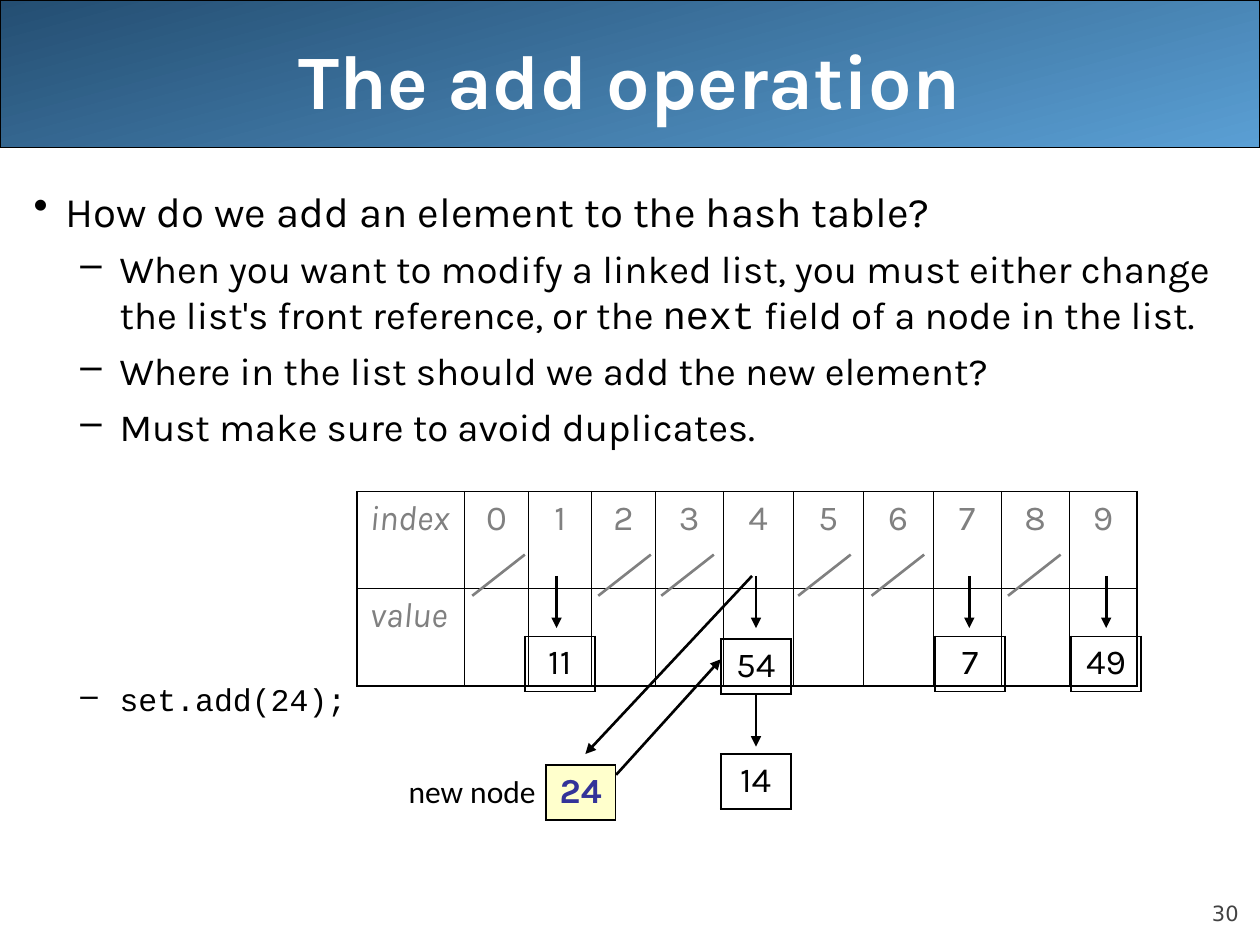
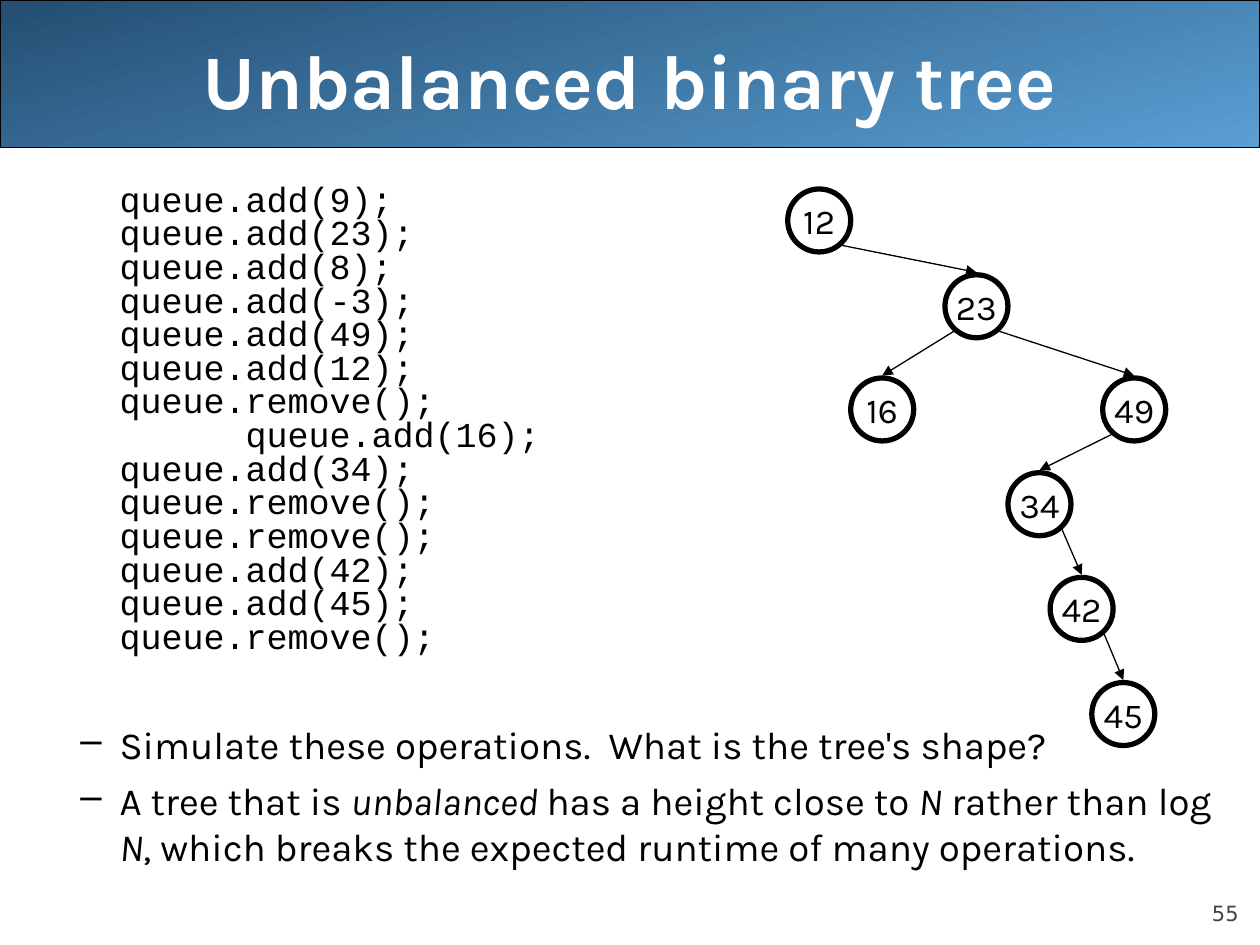
"""Build two lecture slides: adding to a hash table and an unbalanced binary tree."""
import pptx
import pptx.dml.color
import pptx.enum.shapes
import pptx.enum.text
import pptx.oxml
import pptx.oxml.ns
import pptx.util

Cm, Pt = pptx.util.Cm, pptx.util.Pt
RGB = pptx.dml.color.RGBColor
SHAPE = pptx.enum.shapes.MSO_SHAPE
ALIGN = pptx.enum.text.PP_ALIGN
ANCHOR = pptx.enum.text.MSO_ANCHOR
qn = pptx.oxml.ns.qn
NS = pptx.oxml.ns.nsdecls("a")

BLACK = RGB(0x00, 0x00, 0x00)
WHITE = RGB(0xFF, 0xFF, 0xFF)
GREY = RGB(0x80, 0x80, 0x80)
NUMBER_GREY = RGB(0x42, 0x42, 0x42)
BAND_DARK = RGB(0x24, 0x4E, 0x72)
BAND_LIGHT = RGB(0x5A, 0x9F, 0xD4)
NEW_FILL = RGB(0xFF, 0xFF, 0xCC)
NEW_TEXT = RGB(0x33, 0x33, 0x99)
SANS, MONO = "Karla", "Courier New"

# kind: (left margin cm, first-line indent cm, bullet, size pt, font, line spacing)
KINDS = {
    "point": (0.64, -0.64, "•", 24, SANS, 1.0),
    "dash": (1.73, -0.79, "–", 22, SANS, 1.0),
    "dash code": (1.73, -0.79, "–", 18, MONO, 1.0),
    "code": (1.73, 0, None, 20, MONO, 0.8),
    "inner code": (4.27, 0, None, 20, MONO, 0.8),
}

# (kind, space before pt, [(text, style)])
ADD_BODY = [
    ("point", 6, [("How do we add an element to the hash table?", "")]),
    ("dash", 5.5, [("When you want to modify a linked list, you must either change "
                    "the list's front reference, or the ", ""), ("next", "mono"),
                   (" field of a node in the list.", "")]),
    ("dash", 5.5, [("Where in the list should we add the new element?", "")]),
    ("dash", 5.5, [("Must make sure to avoid duplicates.", "")]),
    ("dash code", 132, [("set.add(24);", "")]),
]
QUEUE_CALLS = ["add(9)", "add(23)", "add(8)", "add(-3)", "add(49)", "add(12)", "remove()",
               "add(16)", "add(34)", "remove()", "remove()", "add(42)", "add(45)", "remove()"]
TREE_BODY = [
    ("inner code" if call == "add(16)" else "code", 0, [(f"queue.{call};", "")])
    for call in QUEUE_CALLS
] + [
    ("dash", 37.3, [("Simulate these operations.  What is the tree's shape?", "")]),
    ("dash", 5.5, [("A tree that is ", ""), ("unbalanced ", "italic"),
                   ("has a height close to ", ""), ("N", "italic"),
                   (" rather than log ", ""), ("N", "italic"),
                   (", which breaks the expected runtime of many operations.", "")]),
]

HASH_ROWS = [["index"] + [str(i) for i in range(10)], ["value"] + [""] * 10]
HASH_COLUMNS = [2.17] + [1.28] * 3 + [1.37] + [1.41] * 3 + [1.37] * 3
LIST_NODES = [("54", 14.53, 12.88), ("14", 14.53, 15.2), ("24", 11, 15.42),
              ("11", 10.58, 12.83), ("7", 18.85, 12.83), ("49", 21.59, 12.83)]
NEW_NODE = "24"
BUCKET_ARROW_X = [15.24, 11.22, 19.54, 22.3]
LINK_ARROWS = [(15.24, 13.97, 15.24, 15.05), (12.42, 15.62, 14.53, 13.29),
               (15.16, 11.61, 11.8, 15.2)]
EMPTY_SLASH_X = [10.58, 13.12, 14.39, 17.15, 18.63, 21.38]

TREE_NODES = {"49": (22.23, 7.62), "23": (19.05, 5.54), "12": (15.88, 3.81),
              "16": (17.15, 7.62), "34": (20.32, 9.53), "42": (21.17, 11.64),
              "45": (22.01, 13.76)}
TREE_EDGES = [("12", "23"), ("23", "49"), ("23", "16"), ("49", "34"),
              ("34", "42"), ("42", "45")]
NODE_SIZE = 1.27


def style_run(r, size, color, name=SANS, bold=False, italic=False):
    r.font.size, r.font.name = Pt(size), name
    r.font.bold, r.font.italic = bold, italic
    r.font.color.rgb = color


def set_text(tf, text, size, color, align, **style):
    p = tf.paragraphs[0]
    p.text, p.alignment = text, align
    for r in p.runs:
        style_run(r, size, color, **style)


def add_box(s, left, top, width, height, wrap=True, anchor=ANCHOR.TOP):
    tf = s.shapes.add_textbox(Cm(left), Cm(top), Cm(width), Cm(height)).text_frame
    tf.word_wrap, tf.vertical_anchor = wrap, anchor
    return tf


def add_line(s, x1, y1, x2, y2, color=BLACK, width=1.5, arrow=True):
    line = s.shapes.add_connector(pptx.enum.shapes.MSO_CONNECTOR.STRAIGHT,
                                  Cm(x1), Cm(y1), Cm(x2), Cm(y2))
    line.line.color.rgb, line.line.width = color, Pt(width)
    if arrow:
        line.line._get_or_add_ln().append(
            pptx.oxml.parse_xml(f'<a:tailEnd {NS} type="triangle"/>'))
    line._element.spPr.append(pptx.oxml.parse_xml(f"<a:effectLst {NS}/>"))


def set_borders(cell, widths):
    tcPr = cell._tc.get_or_add_tcPr()
    for i, (side, width) in enumerate(zip("LRTB", widths)):
        tcPr.insert(i, pptx.oxml.parse_xml(
            f'<a:ln{side} {NS} w="{Pt(width)}"><a:solidFill><a:srgbClr val="{BLACK}"/>'
            f"</a:solidFill></a:ln{side}>"))


def add_grid(s, left, top, columns, row_height, rows):
    """Add an unfilled table with a heavier outer border."""
    table = s.shapes.add_table(len(rows), len(columns), Cm(left), Cm(top),
                               Cm(sum(columns)), Cm(row_height * len(rows))).table
    table.first_row = table.horz_banding = False
    for column, width in zip(table.columns, columns):
        column.width = Cm(width)
    last_row, last_col = len(rows) - 1, len(columns) - 1
    for i, row in enumerate(rows):
        table.rows[i].height = Cm(row_height)
        for j, text in enumerate(row):
            cell = table.cell(i, j)
            cell.fill.background()
            outer = (j == 0, j == last_col, i == 0, i == last_row)
            set_borders(cell, [1.08 if edge else 0.45 for edge in outer])
            set_text(cell.text_frame, text, 20, BLACK, ALIGN.CENTER)
    return table


def add_body(s, paragraphs):
    tf = add_box(s, 0.43, 3.61, 24.97, 14.4)
    for i, (kind, before, runs) in enumerate(paragraphs):
        margin, indent, bullet, size, font, spacing = KINDS[kind]
        p = tf.add_paragraph() if i else tf.paragraphs[0]
        p.space_before, p.line_spacing = Pt(before), spacing
        pPr = p._p.get_or_add_pPr()
        pPr.set("marL", str(Cm(margin)))
        pPr.set("indent", str(Cm(indent)))
        pPr.append(pptx.oxml.parse_xml(
            f'<a:buChar {NS} char="{bullet}"/>' if bullet else f"<a:buNone {NS}/>"))
        for text, style in runs:
            r = p.add_run()
            r.text = text
            style_run(r, size, BLACK, MONO if style == "mono" else font,
                      italic=style == "italic")


def add_slide(prs, title, number, body):
    s = prs.slides.add_slide(prs.slide_layouts[6])
    band = s.shapes.add_shape(SHAPE.RECTANGLE, 0, 0, prs.slide_width, Cm(2.97))
    band.shadow.inherit = False
    band.fill.gradient()
    band.fill.gradient_angle = 285
    for stop, color, position in zip(band.fill.gradient_stops, (BAND_DARK, BAND_LIGHT), (0, 1)):
        stop.color.rgb, stop.position = color, position
    band.line.color.rgb, band.line.width = BLACK, Pt(0.75)
    tf = add_box(s, 22.86, 17.65, 2.11, 1.02, anchor=ANCHOR.BOTTOM)
    tf.margin_left = tf.margin_right = tf.margin_top = tf.margin_bottom = 0
    set_text(tf, str(number), 12, NUMBER_GREY, ALIGN.RIGHT, name="DejaVu Sans")
    tf = add_box(s, 1.27, 0, 22.86, 3.18, anchor=ANCHOR.MIDDLE)
    set_text(tf, title, 44, WHITE, ALIGN.CENTER, bold=True)
    add_body(s, body)
    return s


def add_hash_table(s):
    table = add_grid(s, 7.2, 9.91, HASH_COLUMNS, 1.96, HASH_ROWS)
    for i, row in enumerate(HASH_ROWS):
        for j, text in enumerate(row):
            set_text(table.cell(i, j).text_frame, text, 20, GREY,
                     ALIGN.CENTER if j else ALIGN.LEFT, italic=j == 0)
    for value, left, top in LIST_NODES:
        cell = add_grid(s, left, top, [1.41], 1.11, [[value]]).cell(0, 0)
        if value == NEW_NODE:
            cell.fill.solid()
            cell.fill.fore_color.rgb = NEW_FILL
            set_text(cell.text_frame, value, 20, NEW_TEXT, ALIGN.CENTER, bold=True)
    for x in EMPTY_SLASH_X:
        add_line(s, x, 11.18, x - 1.06, 12.01, GREY, arrow=False)
    for arrow in [(x, 11.61, x, 12.66) for x in BUCKET_ARROW_X] + LINK_ARROWS:
        add_line(s, *arrow)
    tf = add_box(s, 7.98, 15.44, 3.07, 1.02, wrap=False)
    set_text(tf, "new node", 18, BLACK, ALIGN.RIGHT, name="Calibri")


def add_tree(s):
    for value, (left, top) in TREE_NODES.items():
        node = s.shapes.add_shape(SHAPE.OVAL, Cm(left), Cm(top), Cm(NODE_SIZE), Cm(NODE_SIZE))
        node.shadow.inherit = False
        node.fill.background()
        node.line.color.rgb, node.line.width = BLACK, Pt(3)
        node.text_frame.word_wrap = False
        node.text_frame.vertical_anchor = ANCHOR.MIDDLE
        set_text(node.text_frame, value, 20, BLACK, ALIGN.CENTER)
    radius, gap = NODE_SIZE / 2, 0.05
    reach = radius * 0.71
    for parent, child in TREE_EDGES:
        (px, py), (cx, cy) = TREE_NODES[parent], TREE_NODES[child]
        side = reach if cx > px else -reach
        add_line(s, px + radius + side, py + radius + reach + gap,
                 cx + radius, cy - gap, width=0.75)


def main():
    prs = pptx.Presentation()
    prs.slide_width, prs.slide_height = Cm(25.4), Cm(19.05)
    add_hash_table(add_slide(prs, "The add operation", 30, ADD_BODY))
    add_tree(add_slide(prs, "Unbalanced binary tree", 55, TREE_BODY))
    prs.save("out.pptx")


if __name__ == "__main__":
    main()
